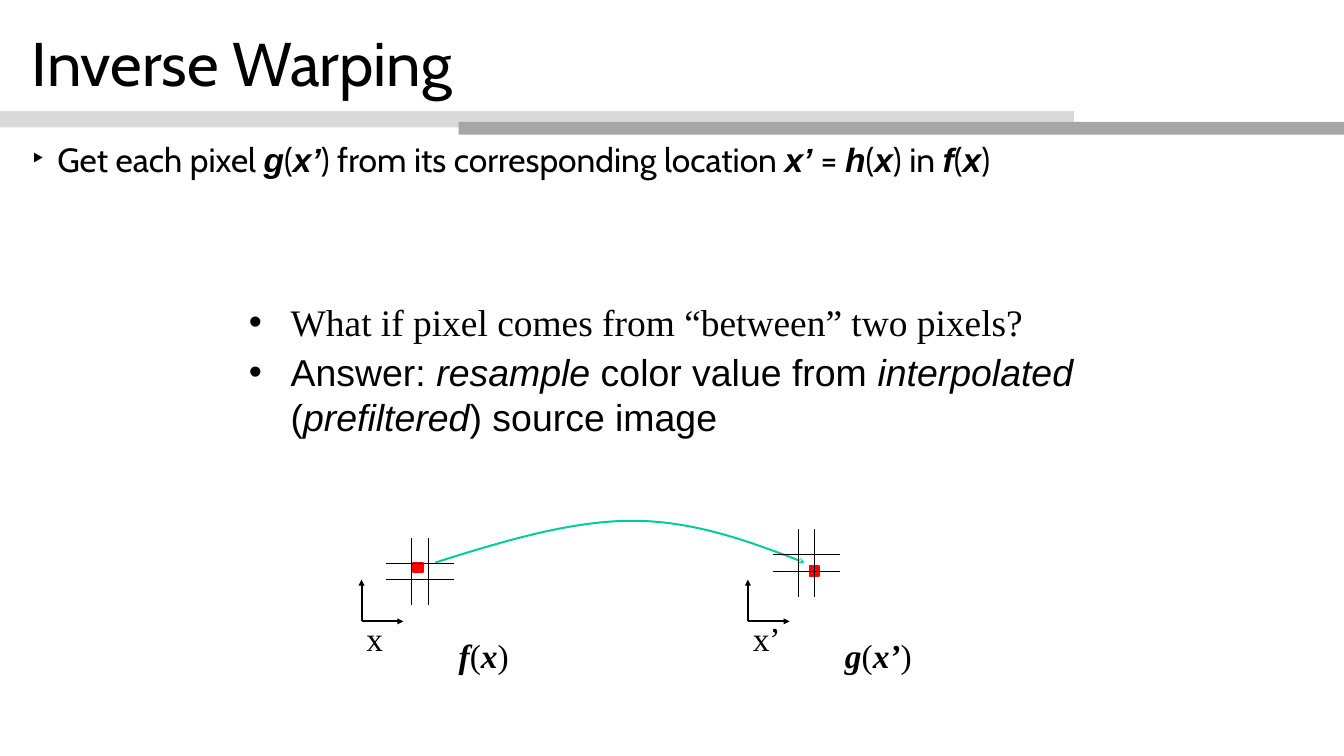
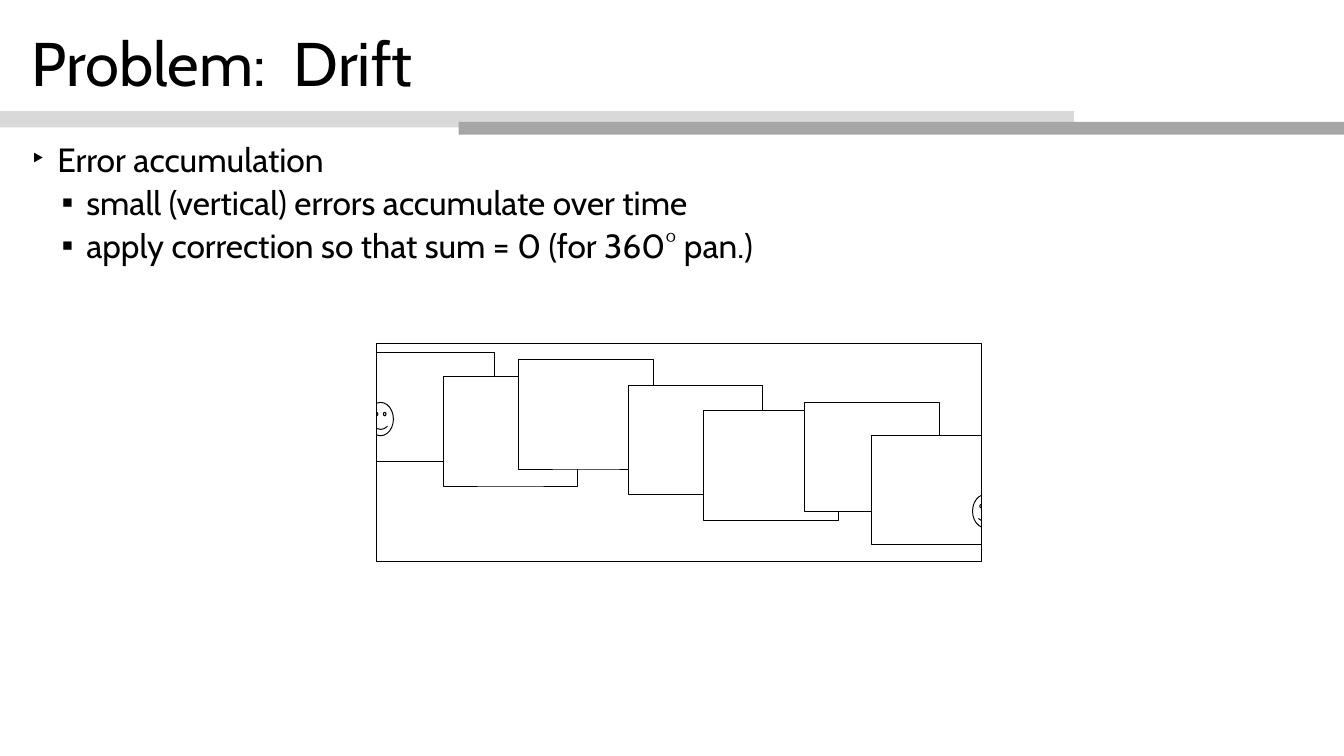
from lxml import etree
from pptx import Presentation
from pptx.dml.color import RGBColor
from pptx.enum.shapes import MSO_CONNECTOR, MSO_SHAPE
from pptx.enum.text import MSO_ANCHOR, MSO_AUTO_SIZE, PP_ALIGN
from pptx.oxml.ns import qn
from pptx.util import Inches, Pt

COLORS = {
    "ink": "000000", "paper": "FFFFFF", "light_band": "D9D9D9",
    "dark_band": "A6A6A6", "pixel": "FF0000", "warp": "00CC99",
}
HEADING, SANS, SERIF = "Cabin", "Arial", "Times New Roman"


def rgb(color):
    return RGBColor.from_string(COLORS[color])


def add_paragraph(frame, text, size, font=HEADING, first=True, emphasis=None,
                  bullet=None, indent=(0, 0), before=0, spacing=1.0):
    """Write one paragraph; parts between asterisks take the emphasis format."""
    paragraph = frame.paragraphs[0] if first else frame.add_paragraph()
    paragraph.alignment = PP_ALIGN.LEFT
    paragraph.line_spacing = spacing
    if not first:
        paragraph.space_before = Pt(before)
    if bullet:
        margin, hanging = indent
        properties = paragraph._p.get_or_add_pPr()
        properties.set("marL", str(Inches(margin)))
        properties.set("indent", str(Inches(hanging)))
        etree.SubElement(properties, qn("a:buFont")).set("typeface", SANS)
        etree.SubElement(properties, qn("a:buChar")).set("char", bullet)
    for index, part in enumerate(text.split("*")):
        if not part:
            continue
        run = paragraph.add_run()
        run.text = part
        style = {"name": font, "size": Pt(size), "bold": False, "italic": False}
        if index % 2:
            style.update(emphasis or {})
        for key, value in style.items():
            setattr(run.font, key, value)
        run.font.color.rgb = rgb("ink")


class Deck:
    """Shared style of the deck, and the slide being drawn."""

    def __init__(self):
        self.presentation = Presentation()
        self.presentation.slide_width = Inches(18.96)
        self.presentation.slide_height = Inches(10.67)
        self.slide = None

    def new_slide(self, title):
        self.slide = self.presentation.slides.add_slide(
            self.presentation.slide_layouts[5])
        heading = self.slide.shapes.title
        heading.left, heading.top = Inches(0.35), Inches(0.22)
        heading.width, heading.height = Inches(18.23), Inches(1.44)
        frame = heading.text_frame
        frame.auto_size = MSO_AUTO_SIZE.NONE
        frame.vertical_anchor = MSO_ANCHOR.MIDDLE
        add_paragraph(frame, title, 62.6, spacing=0.9)
        self.shape(0, 1.57, 15.15, 0.23, fill="light_band")
        self.shape(6.47, 1.72, 12.49, 0.18, fill="dark_band")

    def paint(self, shape, fill, line, weight):
        shape.shadow.inherit = False
        if fill:
            shape.fill.solid()
            shape.fill.fore_color.rgb = rgb(fill)
        else:
            shape.fill.background()
        if line:
            shape.line.color.rgb = rgb(line)
            shape.line.width = Pt(weight)
        else:
            shape.line.fill.background()

    def shape(self, left, top, width, height, fill=None, line=None, weight=1,
              kind=MSO_SHAPE.RECTANGLE):
        shape = self.slide.shapes.add_shape(
            kind, Inches(left), Inches(top), Inches(width), Inches(height))
        self.paint(shape, fill, line, weight)

    def text(self, left, top, width, height, text=None, inset=0.07, **style):
        box = self.slide.shapes.add_textbox(
            Inches(left), Inches(top), Inches(width), Inches(height))
        frame = box.text_frame
        frame.word_wrap = True
        frame.margin_left = frame.margin_right = Inches(inset)
        frame.margin_top = frame.margin_bottom = Inches(min(inset, 0.07))
        if text:
            add_paragraph(frame, text, **style)
        return frame

    def body(self, *items):
        """Bulleted body text from (level, text) pairs."""
        levels = (
            dict(size=34.1, bullet="‣", indent=(0.36, -0.36), before=22.8),
            dict(size=34, bullet="▪", indent=(0.77, -0.35), before=7.1),
        )
        frame = self.text(0.35, 1.97, 18.26, 8.48, inset=0.1)
        frame.margin_top = Inches(0.05)
        for index, (level, text) in enumerate(items):
            add_paragraph(
                frame, text, first=index == 0, spacing=0.9,
                emphasis=dict(name=SANS, bold=True, italic=True), **levels[level])

    def arrowhead(self, shape, head):
        tail = etree.SubElement(shape.line._get_or_add_ln(), qn("a:tailEnd"))
        tail.set("type", head)

    def line(self, x1, y1, x2, y2, weight=1, head=None):
        line = self.slide.shapes.add_connector(
            MSO_CONNECTOR.STRAIGHT, Inches(x1), Inches(y1), Inches(x2), Inches(y2))
        line.line.color.rgb = rgb("ink")
        line.line.width = Pt(weight)
        if head:
            self.arrowhead(line, head)
        etree.SubElement(line._element.spPr, qn("a:effectLst"))

    def curve(self, start, segments, color, weight, head, steps=24):
        """Open path through cubic segments of two controls and an end."""
        builder = self.slide.shapes.build_freeform(*map(Inches, start))
        points = []
        for segment in segments:
            corners = (start, *segment)
            for step in range(1, steps + 1):
                t = step / steps
                weights = ((1 - t) ** 3, 3 * t * (1 - t) ** 2,
                           3 * t * t * (1 - t), t ** 3)
                points.append(tuple(
                    Inches(sum(w * c[axis] for w, c in zip(weights, corners)))
                    for axis in (0, 1)))
            start = segment[-1]
        builder.add_line_segments(points, close=False)
        path = builder.convert_to_shape()
        self.paint(path, None, color, weight)
        self.arrowhead(path, head)


def pixel_panel(deck, x, axis_label, image_label, grid_top, pixel):
    """Axes, labels, and one pixel in its grid; x is the axis origin."""
    y = 8.77
    deck.text(x + 1.3, 8.89, 1.3, 0.72, image_label, size=34, font=SERIF,
              emphasis=dict(bold=True, italic=True))
    for end_x, end_y in ((x, y - 0.59), (x + 0.59, y)):
        deck.line(x, y, end_x, end_y, weight=2, head="triangle")
    deck.text(x, 8.65, 1.07, 0.72, axis_label, size=34, font=SERIF)
    deck.shape(*pixel, 0.14, 0.14, fill="pixel", line="pixel", weight=2)
    grid_left, length = x + 0.35, 0.95
    for offset in (0.36, 0.59):
        across, down = grid_left + offset, grid_top + offset
        deck.line(across, grid_top, across, grid_top + length)
        deck.line(grid_left, down, grid_left + length, down)


def inverse_warping(deck):
    deck.new_slide("Inverse Warping")
    deck.body((0, "Get each pixel *g*(*x’*) from its corresponding location "
                  "*x’ *= *h*(*x*) in *f*(*x*)"))

    # Question and answer
    bullet = dict(size=38, bullet="•", indent=(0.59, -0.59))
    deck.text(3.44, 4.15, 12.44, 0.78,
              "What if pixel comes from “between” two pixels?",
              font=SERIF, **bullet)
    deck.text(3.44, 4.86, 12.09, 1.42,
              "Answer: *resample* color value from *interpolated* "
              "(*prefiltered*) source image",
              font=SANS, emphasis=dict(italic=True), **bullet)

    # Mapping from source pixel to target pixel
    deck.curve((6.14, 7.94),
               [((7.09, 7.64), (8.05, 7.35), (8.92, 7.35)),
                ((9.79, 7.35), (10.57, 7.64), (11.35, 7.94))],
               color="warp", weight=2, head="stealth")
    pixel_panel(deck, 5.1, "x", "*f*(*x*)", 7.59, (5.83, 7.94))
    pixel_panel(deck, 10.55, "x’", "*g*(*x’*)", 7.47, (11.42, 7.99))


def drift(deck):
    deck.new_slide("Problem:  Drift")
    deck.body((0, "Error accumulation"),
              (1, "small (vertical) errors accumulate over time"),
              (1, "apply correction so that sum = 0 (for 360° pan.)"))

    # Drifting frames, with the same face in the first and the last
    outlined = dict(fill="paper", line="ink")
    frames = ((5.07, 4.97), (6.25, 5.32), (7.32, 5.08), (8.86, 5.44),
              (9.93, 5.8), (11.35, 5.68), (12.3, 6.15))
    for left, top in frames:
        deck.shape(left, top, 1.9, 1.54, **outlined)
    for left, top in ((5.19, 5.68), (13.72, 6.98)):
        deck.shape(left, top, 0.36, 0.47, kind=MSO_SHAPE.SMILEY_FACE, **outlined)

    # Panorama window, with covers over what sticks out
    left, top, width, height, cover = 5.31, 4.85, 8.53, 3.08, 0.47
    for cover_left in (left - cover, left + width):
        deck.shape(cover_left, top, cover, height, fill="paper")
    deck.shape(left, top, width, height, line="ink")


def main():
    deck = Deck()
    inverse_warping(deck)
    drift(deck)
    deck.presentation.save("out.pptx")


if __name__ == "__main__":
    main()
